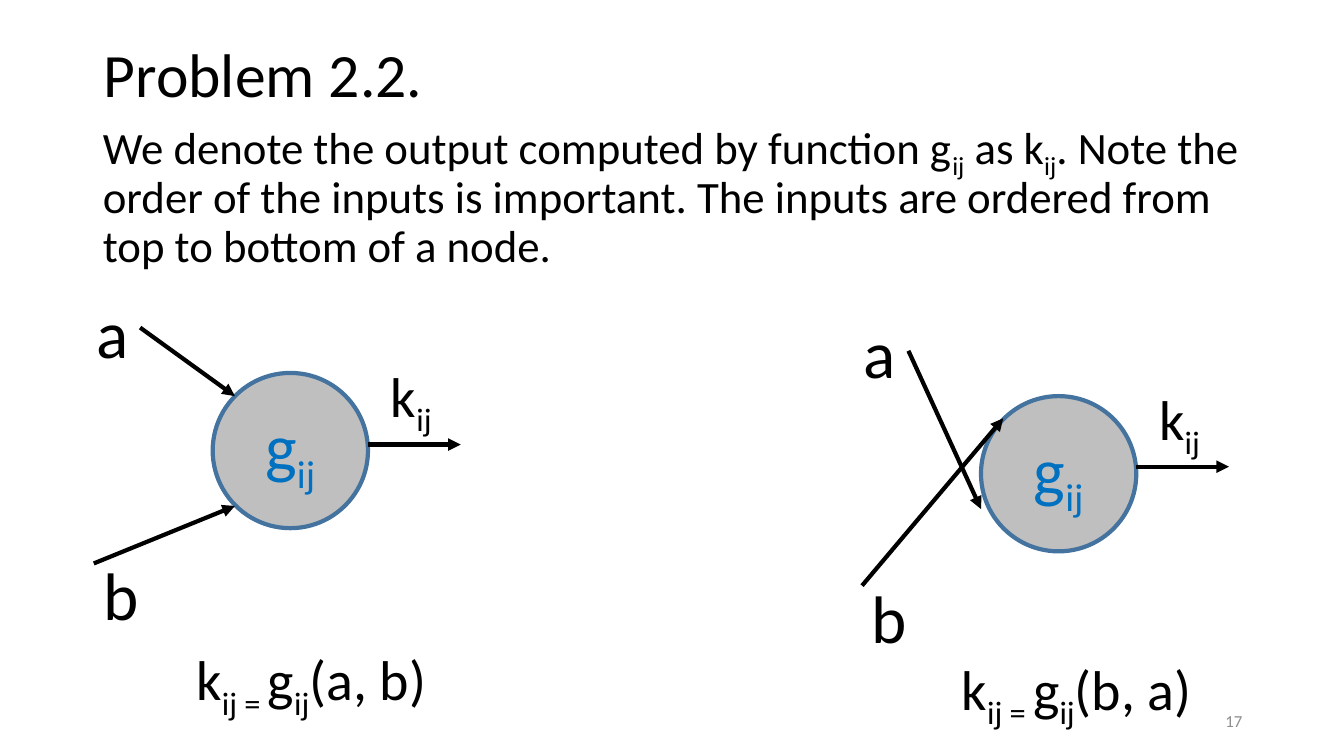
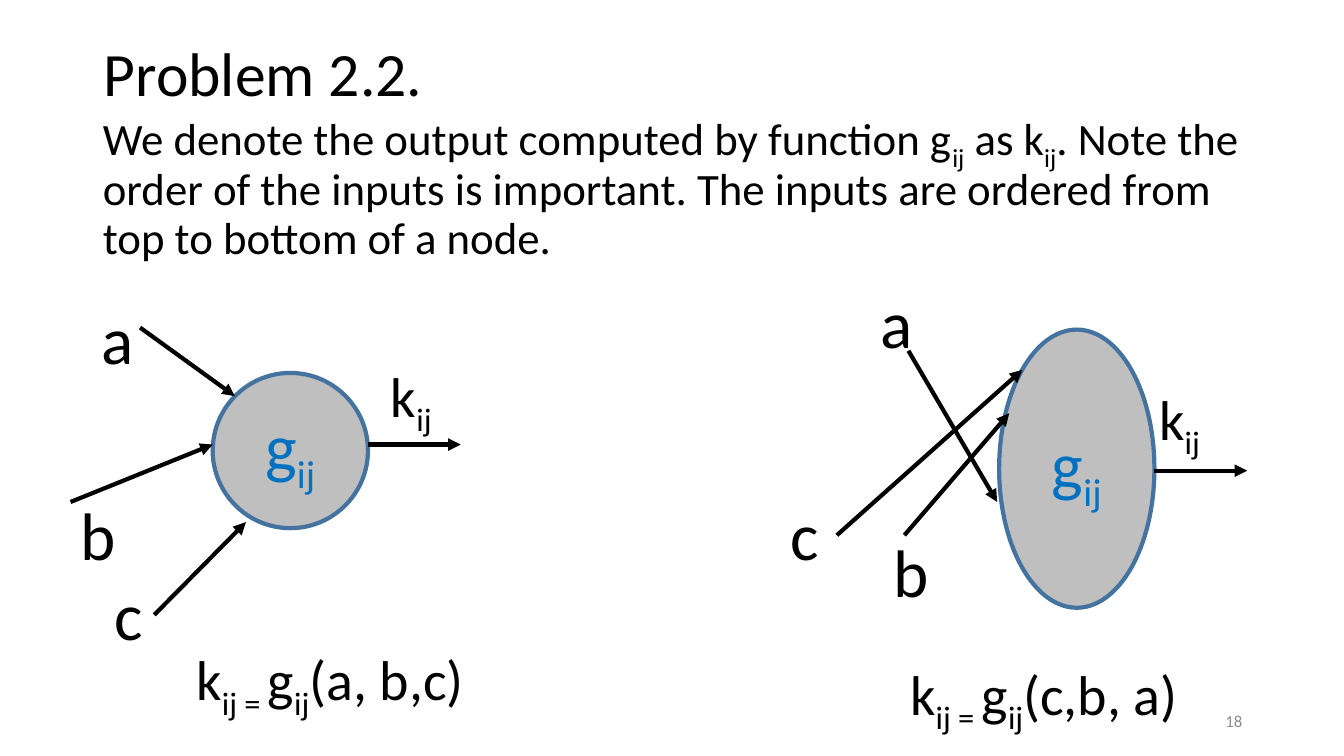
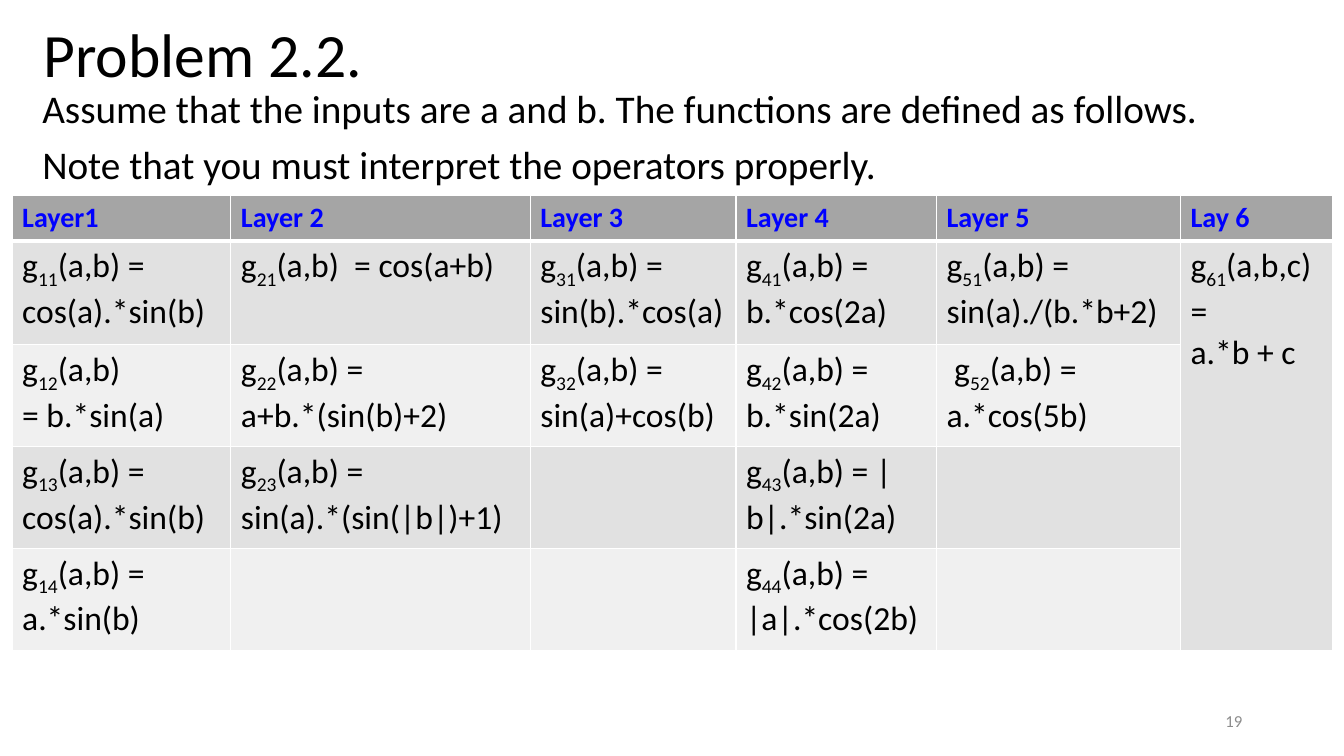
from dataclasses import dataclass

from lxml import etree
from pptx import Presentation
from pptx.dml.color import RGBColor
from pptx.enum.shapes import MSO_CONNECTOR, MSO_SHAPE
from pptx.enum.text import MSO_ANCHOR, MSO_AUTO_SIZE, PP_ALIGN
from pptx.oxml.ns import qn
from pptx.util import Inches, Pt

LEFT, CENTER, RIGHT = PP_ALIGN.LEFT, PP_ALIGN.CENTER, PP_ALIGN.RIGHT
MIDDLE, TOP = MSO_ANCHOR.MIDDLE, MSO_ANCHOR.TOP
STRAIGHT = MSO_CONNECTOR.STRAIGHT
ELLIPSE = MSO_SHAPE.OVAL
TITLE_AND_CONTENT = 1
SLIDE_WIDTH, SLIDE_HEIGHT = 13.33, 7.5
SUBSCRIPT_MARK = "~"


@dataclass(frozen=True)
class Style:
    size: int
    color: str = "000000"
    bold: bool = False


class Theme:
    font = "Calibri"
    title = Style(44)
    body = Style(32)
    body_small = Style(28)
    node = Style(48, "0070C0")
    label = Style(48)
    formula = Style(40)
    table_head = Style(20, "0000FF", True)
    table_cell = Style(24)
    page_number = Style(12, "8C8C8C")
    node_fill, node_line = "BFBFBF", "43739E"
    arrow, stroke = "000000", 3
    head_fill, band_fills = "A5A5A5", ("E1E1E1", "F0F0F0")
    border = "FFFFFF"


@dataclass(frozen=True)
class Input:
    label: str
    label_at: tuple
    start: tuple
    end: tuple


@dataclass(frozen=True)
class Diagram:
    """A node with ordered inputs, one output and its formula."""
    node: tuple
    inputs: tuple
    output_y: float
    output_label_at: tuple
    formula: str
    formula_at: tuple


ROUND_NODE = (2.11, 3.7, 1.54, 1.54)
OUTPUT_LENGTH = 0.92
INPUT_A = ((1.39, 3.25), (2.33, 3.93))

TWO_INPUTS = (
    Diagram(ROUND_NODE, (
        Input("a", (0.86, 2.84), *INPUT_A),
        Input("b", (0.93, 5.44), (0.93, 5.59), (2.33, 5.02)),
    ), 4.41, (3.78, 3.54), "k~ij = ~g~ij~(a, b)", (1.85, 6.35)),
    Diagram((9.73, 3.93, 1.54, 1.54), (
        Input("a", (8.47, 3.04), (9.01, 3.48), (9.73, 5.05)),
        Input("b", (8.55, 5.67), (8.55, 5.81), (9.95, 4.15)),
    ), 4.63, (11.4, 3.77), "k~ij = ~g~ij~(b, a)", (9.44, 6.44)),
)

THREE_INPUTS = (
    Diagram(ROUND_NODE, (
        Input("a", (0.91, 2.9), *INPUT_A),
        Input("b", (0.7, 4.84), (0.7, 4.98), (2.11, 4.41)),
        Input("c", (1.04, 5.64), (1.53, 6.1), (2.44, 5.18)),
    ), 4.41, (3.78, 3.54), "k~ij = ~g~ij~(a, b,c)", (1.85, 6.35)),
    Diagram((9.91, 3.27, 1.54, 2.76), (
        Input("a", (8.63, 2.74), (9.01, 3.48), (9.89, 4.98)),
        Input("b", (8.76, 5.21), (8.97, 5.31), (10.01, 4.1)),
        Input("c", (7.74, 4.84), (8.3, 5.31), (10.14, 3.67)),
    ), 4.67, (11.4, 3.77), "k~ij = ~g~ij~(c,b, a)", (8.93, 6.49)),
)

NOTATION = (
    "We denote the output computed by function g~ij~ as k~ij~. Note the order of the "
    "inputs is important. The inputs are ordered from top to bottom of a node.",
)
ASSUMPTIONS = (
    "Assume that the inputs are a and b. The functions are defined as follows.",
    "Note that you must interpret the operators properly.",
)

COLUMN_WIDTHS = (2.17, 2.97, 2.04, 1.99, 2.42, 1.51)
ROW_HEIGHTS = (0.45, 1.03, 1.01, 1.01, 1.01)
LAYER_FUNCTIONS = (
    ("Layer1", "Layer 2", "Layer 3", "Layer 4", "Layer 5", "Lay 6"),
    ("g~11~(a,b) = cos(a).*sin(b)", "g~21~(a,b)  = cos(a+b)",
     "g~31~(a,b) = sin(b).*cos(a)", "g~41~(a,b) = b.*cos(2a)",
     "g~51~(a,b) = sin(a)./(b.*b+2)", "g~61~(a,b,c)=\na.*b + c"),
    ("g~12~(a,b)\n= b.*sin(a)", "g~22~(a,b) = a+b.*(sin(b)+2)",
     "g~32~(a,b) = sin(a)+cos(b)", "g~42~(a,b) = b.*sin(2a)",
     " g~52~(a,b) =\na.*cos(5b)", ""),
    ("g~13~(a,b) = cos(a).*sin(b)", "g~23~(a,b) = sin(a).*(sin(|b|)+1)",
     "", "g~43~(a,b) = |b|.*sin(2a)", "", ""),
    ("g~14~(a,b) = a.*sin(b)", "", "", "g~44~(a,b) =\n|a|.*cos(2b)", "", ""),
)


def rgb(color):
    return RGBColor.from_string(color)


def inches(lengths):
    return [Inches(length) for length in lengths]


def write(text_frame, lines, style, align=LEFT):
    """Fill a frame; text between subscript marks is lowered."""
    paragraphs = []
    for index, line in enumerate(lines):
        paragraph = text_frame.add_paragraph() if index else text_frame.paragraphs[0]
        paragraph.alignment = align
        for position, piece in enumerate(line.split(SUBSCRIPT_MARK)):
            if not piece:
                continue
            run = paragraph.add_run()
            run.text = piece
            run.font.name = Theme.font
            run.font.size = Pt(style.size)
            run.font.bold = style.bold
            run.font.color.rgb = rgb(style.color)
            if position % 2:
                run._r.get_or_add_rPr().set("baseline", "-25000")
        paragraphs.append(paragraph)
    return paragraphs


def place(shape, box):
    shape.left, shape.top, shape.width, shape.height = inches(box)


def add_text(slide, box, text, style, align=LEFT, anchor=TOP):
    text_frame = slide.shapes.add_textbox(*inches(box)).text_frame
    text_frame.word_wrap = True
    text_frame.vertical_anchor = anchor
    write(text_frame, [text], style, align)


def add_problem_slide(presentation, number, title_box, body_box, lines, style):
    layout = presentation.slide_layouts[TITLE_AND_CONTENT]
    slide = presentation.slides.add_slide(layout)
    title, body = slide.shapes.title, slide.placeholders[1]
    for placeholder, box, anchor in ((title, title_box, MIDDLE), (body, body_box, TOP)):
        place(placeholder, box)
        placeholder.text_frame.auto_size = MSO_AUTO_SIZE.NONE
        placeholder.text_frame.vertical_anchor = anchor
    write(title.text_frame, ["Problem 2.2."], Theme.title)[0].line_spacing = 0.9
    for index, paragraph in enumerate(write(body.text_frame, lines, style)):
        properties = paragraph._p.get_or_add_pPr()
        properties.set("marL", "0")
        properties.set("indent", "0")
        etree.SubElement(properties, qn("a:buNone"))
        paragraph.line_spacing = 0.9
        paragraph.space_before = Pt(10 if index else 0)
    add_text(slide, (9.42, 6.95, 3, 0.4), str(number), Theme.page_number, RIGHT, MIDDLE)
    return slide


def add_arrow(slide, start, end):
    arrow = slide.shapes.add_connector(STRAIGHT, *inches(start + end))
    arrow.line.color.rgb = rgb(Theme.arrow)
    arrow.line.width = Pt(Theme.stroke)
    etree.SubElement(arrow.line._get_or_add_ln(), qn("a:tailEnd"), type="triangle")
    etree.SubElement(arrow._element.spPr, qn("a:effectLst"))


def add_node(slide, box):
    node = slide.shapes.add_shape(ELLIPSE, *inches(box))
    node.shadow.inherit = False
    node.fill.solid()
    node.fill.fore_color.rgb = rgb(Theme.node_fill)
    node.line.color.rgb = rgb(Theme.node_line)
    node.line.width = Pt(Theme.stroke)
    node.text_frame.vertical_anchor = MIDDLE
    write(node.text_frame, ["g~ij~"], Theme.node, CENTER)


def add_diagram(slide, diagram):
    add_node(slide, diagram.node)
    for entry in diagram.inputs:
        add_arrow(slide, entry.start, entry.end)
        add_text(slide, entry.label_at + (0.56, 0.91), entry.label, Theme.label)
    left, _, width, _ = diagram.node
    output_x = left + width
    add_arrow(slide, (output_x, diagram.output_y),
              (output_x + OUTPUT_LENGTH, diagram.output_y))
    add_text(slide, diagram.output_label_at + (0.7, 0.77), "k~ij~", Theme.formula)
    add_text(slide, diagram.formula_at + (3.1, 0.77), diagram.formula, Theme.formula)


def add_borders(cell, widths):
    """Draw the cell's edges; widths maps edge letters to points."""
    properties = cell._tc.get_or_add_tcPr()
    for edge, width in widths.items():
        line = etree.SubElement(properties, qn(f"a:ln{edge}"), w=str(Pt(width)))
        fill = etree.SubElement(line, qn("a:solidFill"))
        etree.SubElement(fill, qn("a:srgbClr"), val=Theme.border)


def add_function_table(slide, left, top):
    box = (left, top, sum(COLUMN_WIDTHS), sum(ROW_HEIGHTS))
    table = slide.shapes.add_table(len(ROW_HEIGHTS), len(COLUMN_WIDTHS), *inches(box)).table
    for column, width in zip(table.columns, COLUMN_WIDTHS):
        column.width = Inches(width)
    for row, height in zip(table.rows, ROW_HEIGHTS):
        row.height = Inches(height)
    for row_index, texts in enumerate(LAYER_FUNCTIONS):
        is_head = row_index == 0
        style = Theme.table_head if is_head else Theme.table_cell
        fill = Theme.head_fill if is_head else Theme.band_fills[(row_index - 1) % 2]
        borders = {"L": 1, "R": 1, "T": 3 if row_index == 1 else 1, "B": 3 if is_head else 1}
        for column_index, text in enumerate(texts):
            cell = table.cell(row_index, column_index)
            add_borders(cell, borders)
            cell.fill.solid()
            cell.fill.fore_color.rgb = rgb(fill)
            if text:
                write(cell.text_frame, text.split("\n"), style)
    last_column = len(COLUMN_WIDTHS) - 1
    table.cell(1, last_column).merge(table.cell(len(ROW_HEIGHTS) - 1, last_column))


def main():
    presentation = Presentation()
    presentation.slide_width = Inches(SLIDE_WIDTH)
    presentation.slide_height = Inches(SLIDE_HEIGHT)

    diagram_slides = ((17, 0.04, 1.14, TWO_INPUTS), (18, 0.03, 1.06, THREE_INPUTS))
    for number, title_top, body_top, diagrams in diagram_slides:
        slide = add_problem_slide(presentation, number, (0.93, title_top, 11.5, 1.45),
                                  (0.92, body_top, 11.5, 4.76), NOTATION, Theme.body)
        for diagram in diagrams:
            add_diagram(slide, diagram)

    slide = add_problem_slide(presentation, 19, (0.33, -0.15, 11.5, 1.45),
                              (0.32, 0.84, 12.69, 4.76), ASSUMPTIONS, Theme.body_small)
    add_function_table(slide, 0.12, 1.94)
    presentation.save("out.pptx")


if __name__ == "__main__":
    main()
